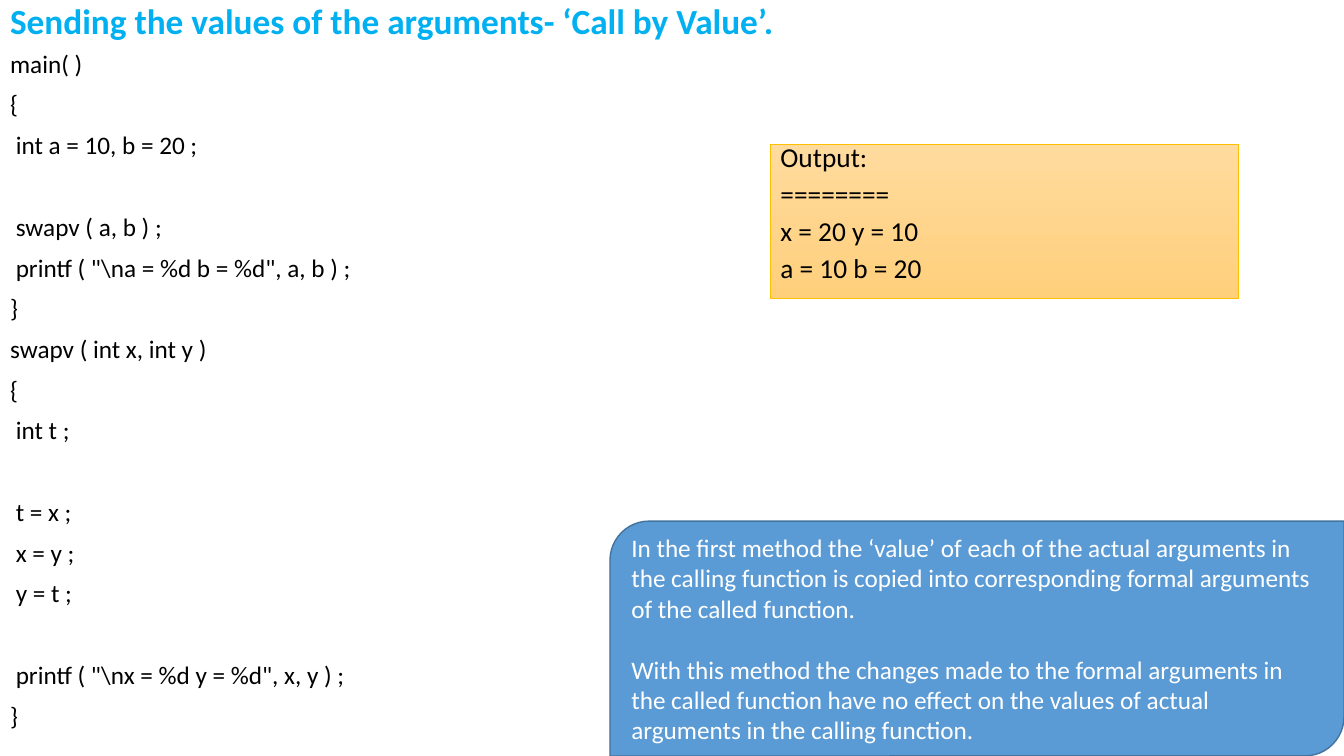
from pptx import Presentation
from pptx import util as u
from pptx.dml.color import RGBColor
from pptx.enum import shapes, text
from pptx.oxml.ns import qn

COLORS = {
    "title": "00B0F0",
    "text": "000000",
    "light": "FFFFFF",
    "output_top": "FFDB9E",
    "output_bottom": "FFD07C",
    "output_line": "FFC000",
    "note": "5B9BD5",
    "note_line": "43739E",
}
CODE = [
    "main( )",
    "{",
    " int a = 10, b = 20 ;",
    " swapv ( a, b ) ;",
    ' printf ( "\\na = %d b = %d", a, b ) ;',
    "}",
    "swapv ( int x, int y )",
    "{",
    " int t ;",
    " t = x ;",
    " x = y ;",
    " y = t ;",
    ' printf ( "\\nx = %d y = %d", x, y ) ;',
    "}",
]
CODE_BREAKS = {3, 9, 12}
OUTPUT = ["Output:", "========", "x = 20 y = 10", "a = 10 b = 20"]
NOTE = [
    "In the first method the ‘value’ of each of the actual arguments in",
    "the calling function is copied into corresponding formal arguments",
    "of the called function.",
    "With this method the changes made to the formal arguments in the called "
    "function have no effect on the values of actual arguments in the calling "
    "function.",
]


def rgb(name):
    return RGBColor.from_string(COLORS[name])


def place(sp, left, top, width, height):
    sp.left, sp.top = u.Inches(left), u.Inches(top)
    sp.width, sp.height = u.Inches(width), u.Inches(height)


def write(sp, lines, size, color, spacing=1.0, before=0, breaks=(), gap=0,
          bold=False, anchor=text.MSO_ANCHOR.TOP):
    tf = sp.text_frame
    tf.text = "\n".join(lines)
    tf.word_wrap = True
    tf.auto_size = text.MSO_AUTO_SIZE.NONE
    tf.vertical_anchor = anchor
    for i, p in enumerate(tf.paragraphs):
        p.alignment = text.PP_ALIGN.LEFT
        p.line_spacing = spacing
        p.space_before = u.Pt(before + (gap if i in breaks else 0))
        for r in p.runs:
            r.font.name = "Calibri"
            r.font.size = u.Pt(size)
            r.font.bold = bold
            r.font.color.rgb = rgb(color)


def remove_bullets(sp):
    for p in sp.text_frame.paragraphs:
        pPr = p._p.get_or_add_pPr()
        pPr.set("marL", "0")
        pPr.set("indent", "0")
        pPr.append(pPr.makeelement(qn("a:buNone"), {}))


def outline(sp, color, width):
    sp.line.color.rgb = rgb(color)
    sp.line.width = u.Pt(width)


def add_title(sp):
    place(sp, 0, 0, 11.5, 0.46)
    write(sp, ["Sending the values of the arguments- ‘Call by Value’."], 25.2,
          "title", spacing=0.9, bold=True, anchor=text.MSO_ANCHOR.MIDDLE)


def add_code(sp):
    place(sp, 0, 0.46, 6.58, 7.04)
    write(sp, CODE, 18, "text", spacing=0.9, before=9.6,
          breaks=CODE_BREAKS, gap=29.4)
    remove_bullets(sp)


def add_output(sp):
    place(sp, 7.64, 1.43, 4.64, 1.53)
    sp.fill.gradient()
    sp.fill.gradient_angle = 270
    for stop, name in zip(sp.fill.gradient_stops, ("output_top", "output_bottom")):
        stop.color.rgb = rgb(name)
    outline(sp, "output_line", 0.5)
    write(sp, OUTPUT, 19.5, "text", spacing=0.7, before=10)
    remove_bullets(sp)


def add_note(s):
    sp = s.shapes.add_shape(
        shapes.MSO_SHAPE.ROUND_2_DIAG_RECTANGLE,
        u.Inches(6.05), u.Inches(5.17), u.Inches(7.28), u.Inches(2.33))
    sp.shadow.inherit = False
    sp.fill.solid()
    sp.fill.fore_color.rgb = rgb("note")
    outline(sp, "note_line", 1)
    write(sp, NOTE, 18, "light", breaks={3}, gap=22,
          anchor=text.MSO_ANCHOR.MIDDLE)


def main():
    prs = Presentation()
    prs.slide_width, prs.slide_height = u.Inches(13.33), u.Inches(7.5)
    s = prs.slides.add_slide(prs.slide_layouts[3])
    title, code, output = s.placeholders
    add_title(title)
    add_code(code)
    add_output(output)
    add_note(s)
    prs.save("out.pptx")


if __name__ == "__main__":
    main()
